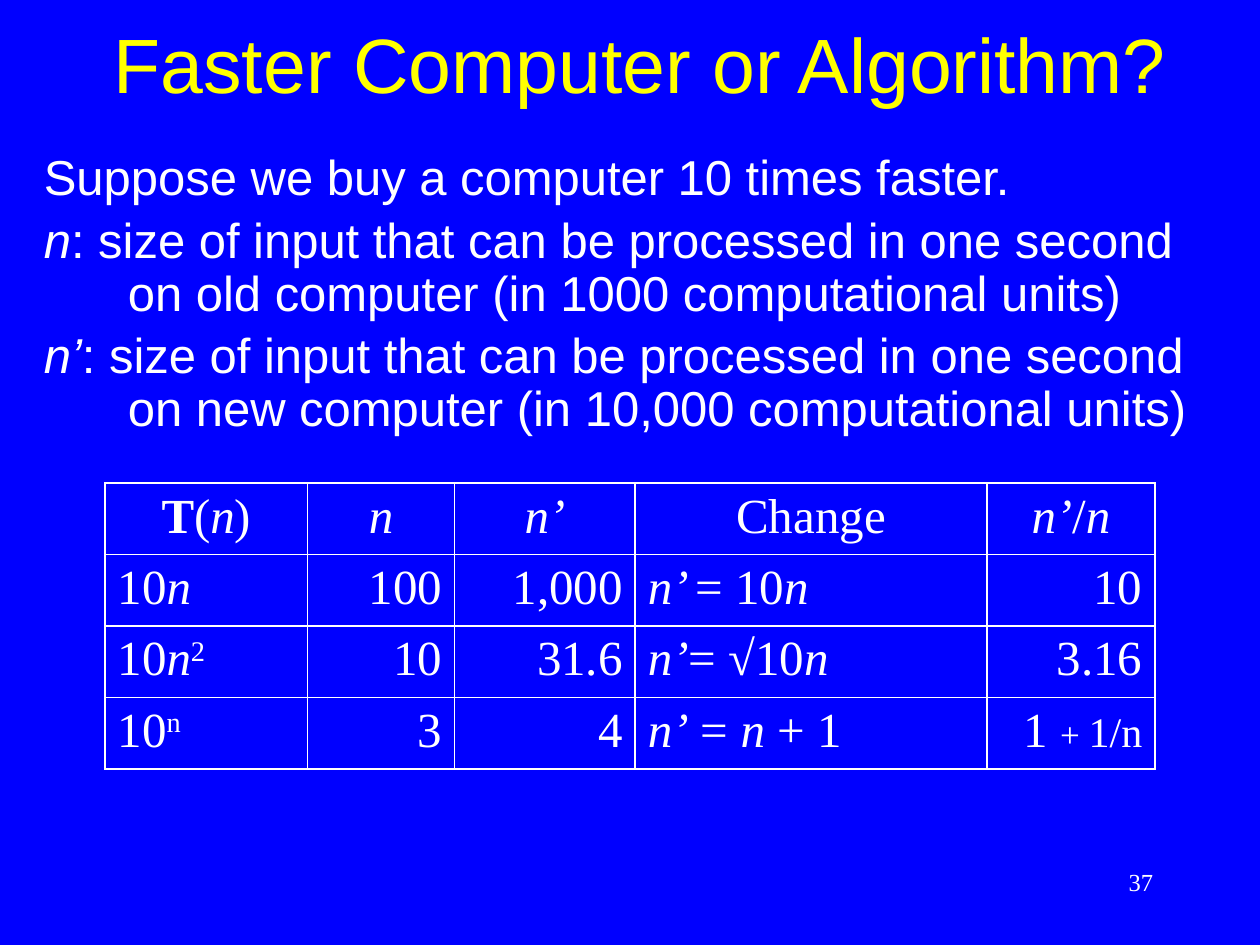
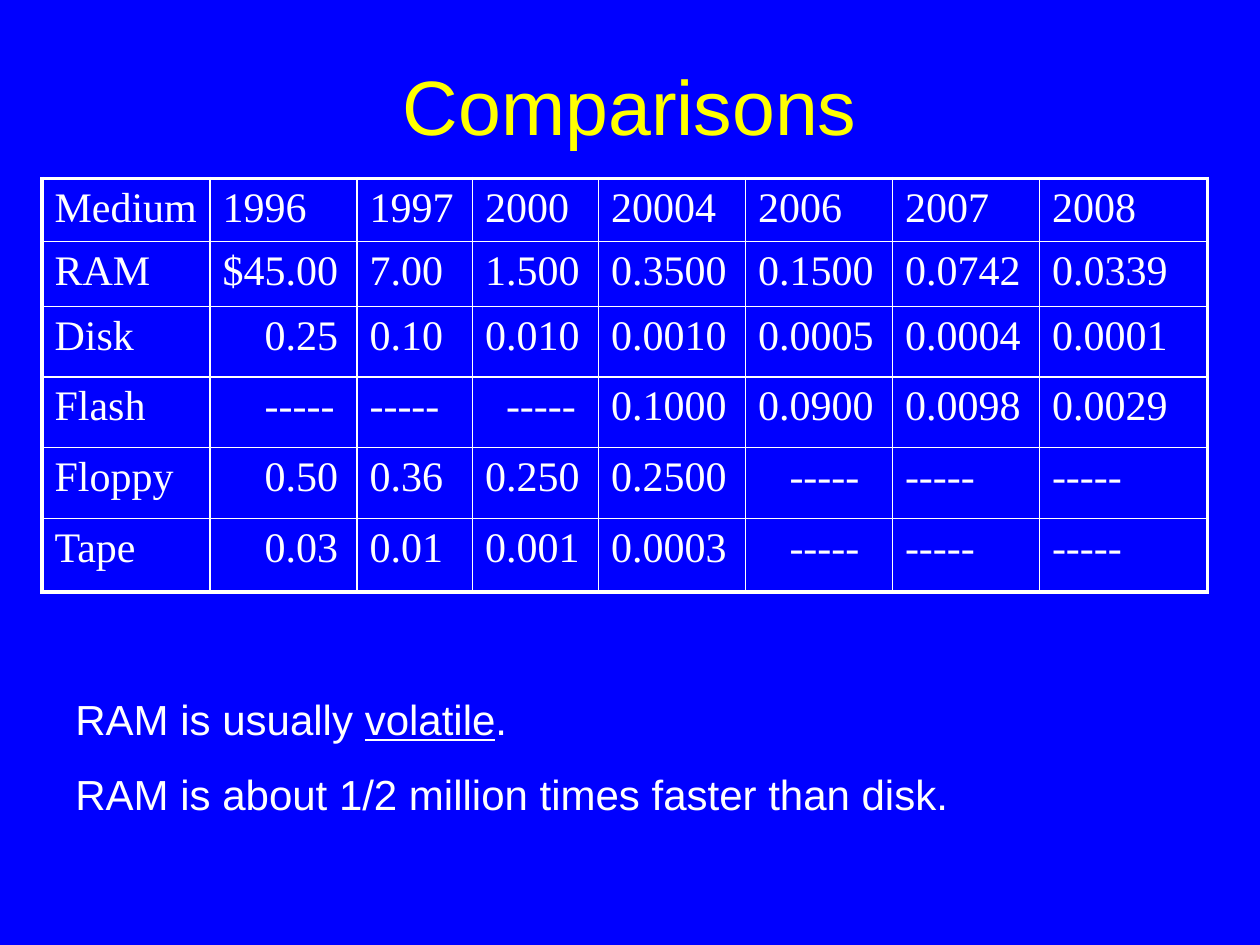
from dataclasses import dataclass
from itertools import product
from typing import Optional

from lxml.etree import SubElement
from pptx import Presentation
from pptx.dml.color import RGBColor
from pptx.enum.text import MSO_ANCHOR, PP_ALIGN
from pptx.oxml.ns import qn
from pptx.slide import Slide
from pptx.util import Inches, Length, Pt

SLIDE_WIDTH, SLIDE_HEIGHT = Inches(10), Inches(7.5)
GRID_COLUMNS = 12
HANGING = 0.8


@dataclass(frozen=True)
class Theme:
    """Colours, fonts and point sizes shared by the slides."""

    background: RGBColor = RGBColor(0, 0, 255)
    accent: RGBColor = RGBColor(255, 255, 0)
    text: RGBColor = RGBColor(255, 255, 255)
    sans: str = "Arial"
    serif: str = "Times New Roman"
    title: float = 44
    large: float = 28
    medium: float = 24
    small: float = 20
    footer: float = 14
    thin: float = 1
    thick: float = 2.25


THEME = Theme()


@dataclass(frozen=True)
class Style:
    """Font of a whole paragraph."""

    size: float
    font: str = THEME.sans
    color: RGBColor = THEME.text


@dataclass(frozen=True)
class Run:
    """A stretch of text with its own emphasis."""

    text: str
    bold: Optional[bool] = None
    italic: Optional[bool] = None
    underline: Optional[bool] = None
    raised: bool = False
    size: Optional[float] = None


@dataclass(frozen=True)
class Line:
    """A paragraph; spacing is in points and indents in grid columns."""

    runs: tuple[Run, ...]
    align: PP_ALIGN = PP_ALIGN.LEFT
    margin: float = 0
    hanging: float = 0
    spacing: float = 1
    before: float = 0
    after: float = 0


@dataclass(frozen=True)
class Box:
    """A place in grid columns and rows."""

    column: float
    row: float
    width: float
    height: float


@dataclass(frozen=True)
class Grid:
    """A table with its place, track sizes and lines of text."""

    column: float
    row: float
    widths: tuple[float, ...]
    heights: tuple[float, ...]
    cells: list[list[Line]]
    style: Style
    outline: float


def units(count: float) -> Length:
    """Turn a number of square grid cells into a length."""
    return Length(round(SLIDE_WIDTH * count / GRID_COLUMNS))


def write(paragraph, line: Line, style: Style) -> None:
    """Fill one paragraph."""
    paragraph.alignment = line.align
    paragraph.line_spacing = line.spacing
    paragraph.space_before, paragraph.space_after = Pt(line.before), Pt(line.after)
    paragraph.font.size = Pt(style.size)
    paragraph.font.name = style.font
    paragraph.font.color.rgb = style.color
    properties = paragraph._p.get_or_add_pPr()
    properties.set("marL", str(units(line.margin)))
    properties.set("indent", str(-units(line.hanging)))
    for part in line.runs:
        run = paragraph.add_run()
        run.text = part.text
        run.font.bold, run.font.italic = part.bold, part.italic
        run.font.underline = part.underline
        if part.size:
            run.font.size = Pt(part.size)
        if part.raised:
            run._r.get_or_add_rPr().set("baseline", "30000")


def add_text(slide: Slide, box: Box, lines: list[Line], style: Style,
             anchor: MSO_ANCHOR = MSO_ANCHOR.TOP) -> None:
    """Place a wrapped text box."""
    shape = slide.shapes.add_textbox(*map(units, (box.column, box.row, box.width, box.height)))
    frame = shape.text_frame
    frame.word_wrap = True
    frame.vertical_anchor = anchor
    for index, line in enumerate(lines):
        write(frame.add_paragraph() if index else frame.paragraphs[0], line, style)


def add_title(slide: Slide, text: str, column: float, row: float) -> None:
    """Place the slide title."""
    add_text(slide, Box(column, row, 10.8, 1.2), [Line((Run(text),), PP_ALIGN.CENTER)],
             Style(THEME.title, color=THEME.accent), MSO_ANCHOR.MIDDLE)


def add_border(cell, side: str, width: float) -> None:
    """Draw one side of a cell."""
    border = SubElement(cell._tc.get_or_add_tcPr(), qn(f"a:ln{side}"), w=str(Pt(width)))
    fill = SubElement(border, qn("a:solidFill"))
    SubElement(fill, qn("a:srgbClr"), val=str(THEME.text))


def add_grid(slide: Slide, grid: Grid) -> None:
    """Place an unfilled table with ruled cells."""
    rows, columns = len(grid.heights), len(grid.widths)
    table = slide.shapes.add_table(
        rows, columns, units(grid.column), units(grid.row),
        units(sum(grid.widths)), units(sum(grid.heights))).table
    table.first_row = table.horz_banding = False
    for column, width in zip(table.columns, grid.widths):
        column.width = units(width)
    for row, height in zip(table.rows, grid.heights):
        row.height = units(height)
    for row, column in product(range(rows), range(columns)):
        cell = table.cell(row, column)
        write(cell.text_frame.paragraphs[0], grid.cells[row][column], grid.style)
        outer = {"L": column == 0, "R": column == columns - 1,
                 "T": row == 0, "B": row == rows - 1}
        for side, on_edge in outer.items():
            add_border(cell, side, grid.outline if on_edge else THEME.thin)
        cell.fill.background()


def plain(text: str, align: PP_ALIGN = PP_ALIGN.LEFT, margin: float = 0) -> Line:
    """Make a line without emphasis."""
    return Line((Run(text),), align, margin)


def price(text: str, column: int) -> Line:
    """Make a price cell, set in where the column aligns its figures."""
    shifts = {(1, "0"): 0.4, (1, "-"): 0.4, (3, "-"): 0.2, (5, "-"): 0.3}
    return plain(text, margin=shifts.get((column, text[0]), 0))


def build_algorithm_slide(slide: Slide) -> None:
    """Compare a faster computer with a faster algorithm."""
    size, new_size = Run("n", italic=True), Run("n’", italic=True)
    center, right = PP_ALIGN.CENTER, PP_ALIGN.RIGHT
    add_text(slide, Box(8.6, 8.2, 2.5, 0.6), [plain("37", right)],
             Style(THEME.footer, THEME.serif))
    add_title(slide, "Faster Computer or Algorithm?", 0.7, 0)
    definition = ": size of input that can be processed in one second on {} computational units)"
    statements = [
        (Run("Suppose we buy a computer 10 times faster."),),
        (size, Run(definition.format("old computer (in 1000"))),
        (new_size, Run(definition.format("new computer (in 10,000"))),
    ]
    add_text(slide, Box(0.3, 1.4, 11.5, 5.3),
             [Line(runs, margin=HANGING, hanging=HANGING, spacing=0.9, before=5.6)
              for runs in statements], Style(THEME.large))
    header = [(Run("T", bold=True), Run("("), size, Run(")")), (size,), (new_size,),
              (Run("Change"),), (new_size, Run("/"), size)]
    ten = Run("10")
    growth = [
        ((ten, size), "100", "1,000",
         (Run("n’ ", italic=True), Run("= 10"), size), (ten,)),
        ((ten, size, Run("2", raised=True)), "10", "31.6",
         (new_size, Run("= √10"), size), (Run("3.16"),)),
        ((ten, Run("n", raised=True)), "3", "4",
         (new_size, Run(" = "), size, Run(" + 1")),
         (Run("1 "), Run("+ ", size=THEME.small), Run("1/n", size=THEME.medium))),
    ]
    cells = [[Line(runs, center) for runs in header]]
    cells += [[Line(cost), plain(old, right), plain(new, right), Line(change), Line(ratio, right)]
              for cost, old, new, change, ratio in growth]
    add_grid(slide, Grid(1, 4.6, (1.93, 1.4, 1.72, 3.35, 1.6), (0.68,) * 4, cells,
                         Style(THEME.large, THEME.serif), THEME.thin))


def build_price_slide(slide: Slide) -> None:
    """Compare storage media by price and year."""
    add_title(slide, "Comparisons", 0.6, 0.4)
    add_text(slide, Box(0.6, 6.64, 10.8, 1.4), [
        Line((Run("RAM is usually "), Run("volatile", underline=True), Run(".")),
             margin=HANGING, hanging=HANGING, spacing=0.8, after=15),
        Line((Run("RAM is about 1/2 million times faster than disk."),),
             margin=HANGING, hanging=HANGING, spacing=0.8, before=4.8),
    ], Style(THEME.medium))
    prices = [
        "Medium 1996 1997 2000 20004 2006 2007 2008",
        "RAM $45.00 7.00 1.500 0.3500 0.1500 0.0742 0.0339",
        "Disk 0.25 0.10 0.010 0.0010 0.0005 0.0004 0.0001",
        "Flash ----- ----- ----- 0.1000 0.0900 0.0098 0.0029",
        "Floppy 0.50 0.36 0.250 0.2500 ----- ----- -----",
        "Tape 0.03 0.01 0.001 0.0003 ----- ----- -----",
    ]
    cells = [[price(text, column) for column, text in enumerate(row.split())] for row in prices]
    add_grid(slide, Grid(0.4, 1.7, (1.6, 1.4, 1.1, 1.2, 1.4, 1.4, 1.4, 1.6),
                         (0.56, 0.62, 0.67, 0.67, 0.68, 0.7), cells,
                         Style(THEME.medium, THEME.serif), THEME.thick))


def main() -> None:
    """Build and save the presentation."""
    presentation = Presentation()
    presentation.slide_width, presentation.slide_height = SLIDE_WIDTH, SLIDE_HEIGHT
    for build in (build_algorithm_slide, build_price_slide):
        slide = presentation.slides.add_slide(presentation.slide_layouts[6])
        slide.background.fill.solid()
        slide.background.fill.fore_color.rgb = THEME.background
        build(slide)
    presentation.save("out.pptx")


main()
